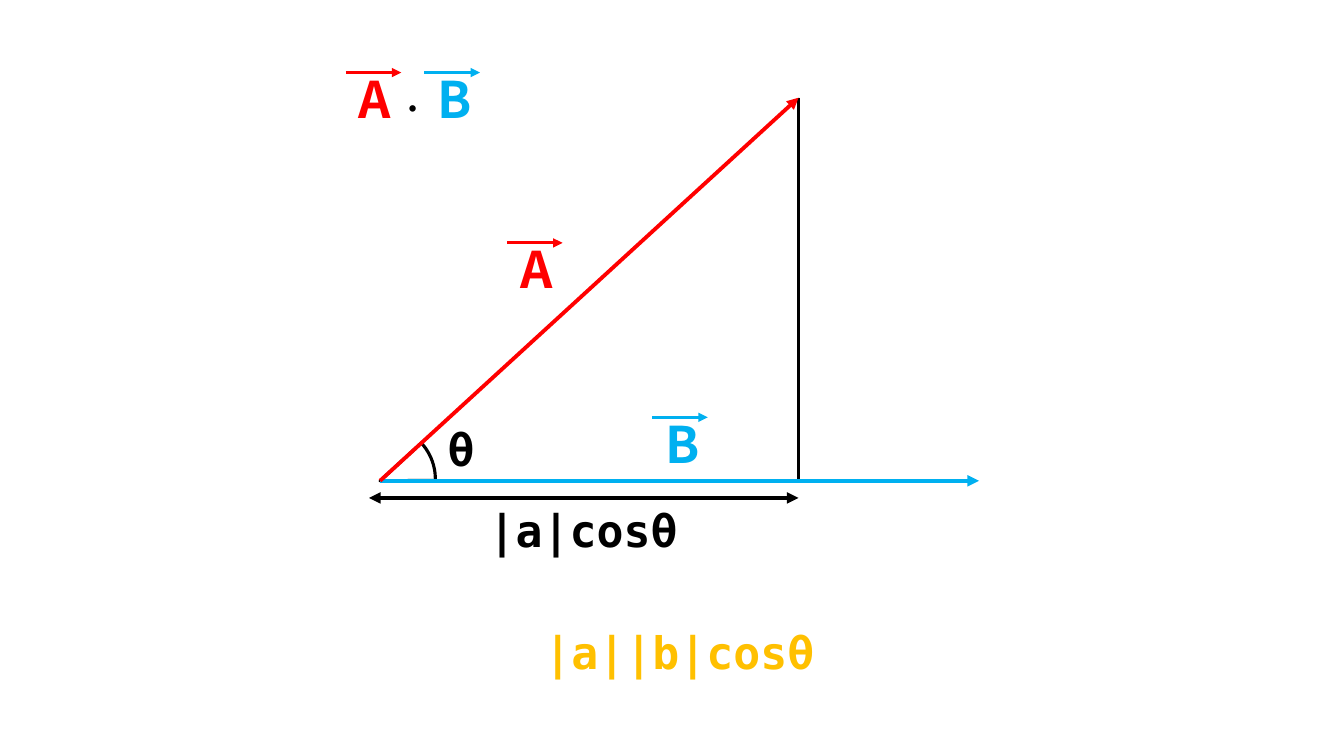
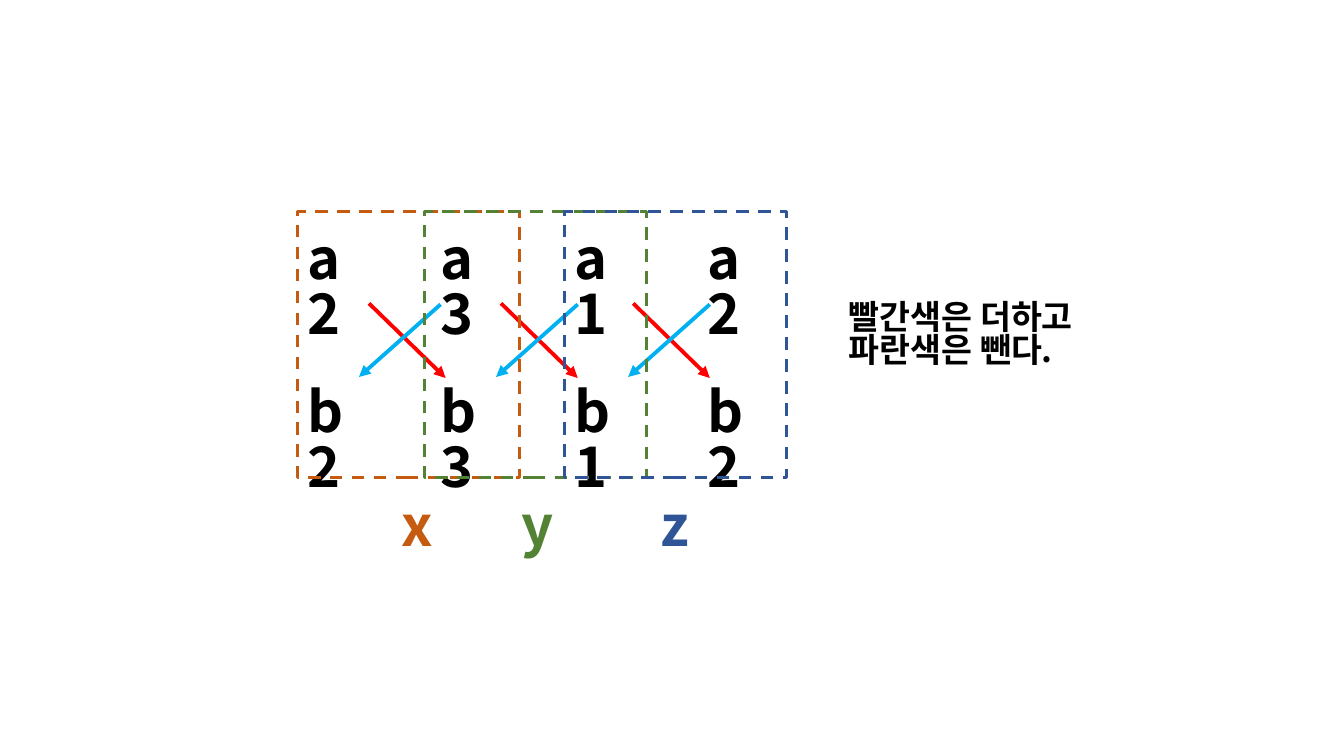
from pptx import Presentation
from pptx.dml.color import RGBColor as Rgb
from pptx.enum.dml import MSO_LINE as Dash
from pptx.enum.shapes import MSO_CONNECTOR as Link, MSO_SHAPE as Form
from pptx.enum.text import PP_ALIGN as Align
from pptx.oxml.ns import qn
from pptx.util import Inches, Pt
from lxml.etree import SubElement as Sub

# Shared colours and fonts
BLACK = Rgb(0, 0, 0)
RED = Rgb(0xFF, 0, 0)
BLUE = Rgb(0, 0xB0, 0xF0)
GOLD = Rgb(0xFF, 0xC0, 0)
RUST = Rgb(0xC5, 0x5A, 0x11)
GREEN = Rgb(0x54, 0x82, 0x35)
NAVY = Rgb(0x2F, 0x55, 0x97)
MONO, SANS = "DejaVu Sans Mono", "Noto Sans CJK KR"
THIN, THICK = 2.25, 2.75

# Dot product: triangle corners, formulas, vector names
START, PEAK, FOOT, END = (3.77, 4.77), (7.92, 0.97), (7.92, 4.77), (9.71, 4.77)
SPAN = 4.94
RADIUS = (0.555, 0.54)
TERMS = [  # text, box, colour, size, bold
    ("θ", (4.34, 4.13, 0.41, 0.64), BLACK, 32, True),
    ("|a|cosθ", (4.66, 4.94, 2.25, 0.64), BLACK, 32, True),
    ("ㆍ", (3.76, 0.72, 0.66, 0.71), BLACK, 36, False),
    ("|a||b|cosθ", (4.96, 6.15, 3.56, 0.64), GOLD, 32, True),
]
NAMES = [  # letter, arrow start, colour
    ("B", (4.21, 0.72), BLUE),
    ("A", (3.43, 0.72), RED),
    ("A", (5.03, 2.41), RED),
    ("B", (6.47, 4.14), BLUE),
]

# Cross product: grid of terms, arrows, axis frames
ORDER = "2312"
ROWS = [("a", 2.23, 0.83), ("b", 3.75, 0.88)]
LEFT, STEP = 2.95, 1.323
REDS = [3.66 + 1.31 * i for i in range(3)]
BLUES = [4.37, 5.73, 7.04]
AXES = [  # letter, frame left, letter left, colour
    ("x", 2.95, 3.88, RUST),
    ("y", 4.21, 5.07, GREEN),
    ("z", 5.6, 6.45, NAVY),
]
NOTE = ["빨간색은 더하고", "파란색은 뺀다."]

deck = Presentation()
deck.slide_width, deck.slide_height = Inches(13.33), Inches(7.5)


def page():
    return deck.slides.add_slide(deck.slide_layouts[6])


def inch(vals):
    return [Inches(v) for v in vals]


def text(slide, lines, box, color, size, face=SANS, bold=True, align=Align.LEFT, right=0.1):
    frame = slide.shapes.add_textbox(*inch(box)).text_frame
    frame.word_wrap = True
    frame.margin_right = Inches(right)
    if face == SANS:  # tight lines, first baseline one em down
        frame.margin_top = Inches(0.05 + size * 0.1 / 72)
    look = {"name": face, "size": Pt(size), "bold": bold}
    for i, line in enumerate(lines):
        para = frame.add_paragraph() if i else frame.paragraphs[0]
        para.alignment = align
        if face == SANS:
            para.line_spacing = 0.82
        run = para.add_run()
        run.text = line
        for key, val in look.items():
            setattr(run.font, key, val)
        run.font.color.rgb = color
        Sub(run.font._element, qn("a:ea"), typeface=face)


def line(slide, start, end, color, width=THICK, ends=("tailEnd",)):
    link = slide.shapes.add_connector(Link.STRAIGHT, *inch(start + end))
    link.line.color.rgb = color
    link.line.width = Pt(width)
    stroke = link.line._get_or_add_ln()
    for tip in ends:
        Sub(stroke, qn("a:" + tip), type="triangle")
    Sub(link._element.spPr, qn("a:effectLst"))


def outline(slide, form, box, color, dash=None):
    shape = slide.shapes.add_shape(form, *inch(box))
    shape.shadow.inherit = False
    shape.fill.background()
    shape.line.color.rgb = color
    shape.line.width = Pt(THIN)
    if dash:
        shape.line.dash_style = dash
    return shape


# Slide 1: dot product
dot = page()
rx, ry = RADIUS
angle = outline(dot, Form.PIE, (START[0] - rx, START[1] - ry, 2 * rx, 2 * ry), BLACK)
angle.rotation = 317.5
angle.adjustments[0], angle.adjustments[1] = 0, 25.195
line(dot, PEAK, FOOT, BLACK, ends=())
line(dot, (FOOT[0], SPAN), (3.66, SPAN), BLACK, ends=("headEnd", "tailEnd"))
for word, box, color, size, bold in TERMS:
    text(dot, [word], box, color, size, MONO, bold, Align.CENTER)
line(dot, START, END, BLUE)
line(dot, START, PEAK, RED)
for name, (x, y), color in NAMES:
    text(dot, [name], (x + 0.03, y - 0.04, 0.41, 0.71), color, 36, align=Align.CENTER)
    line(dot, (x, y), (x + 0.55, y), color, THIN)

# Slide 2: cross product
cross = page()
for name, top, wide in ROWS:
    for i, num in enumerate(ORDER):
        # the narrow column drops the index below its letter
        text(cross, [name + num], (LEFT + STEP * i, top, wide, 0.77), BLACK, 40, right=0.25)
for x in REDS:
    line(cross, (x, 3.01), (x + 0.76, 3.75), RED)
for x in BLUES:
    line(cross, (x, 3.02), (x - 0.81, 3.74), BLUE)
text(cross, NOTE, (8.32, 2.92, 2.8, 0.91), BLACK, 24)
for name, left, mark, color in AXES:
    outline(cross, Form.RECTANGLE, (left, 2.1, 2.2, 2.64), color, Dash.DASH)
    text(cross, [name], (mark, 4.88, 0.5, 0.77), color, 40)

deck.save("out.pptx")
